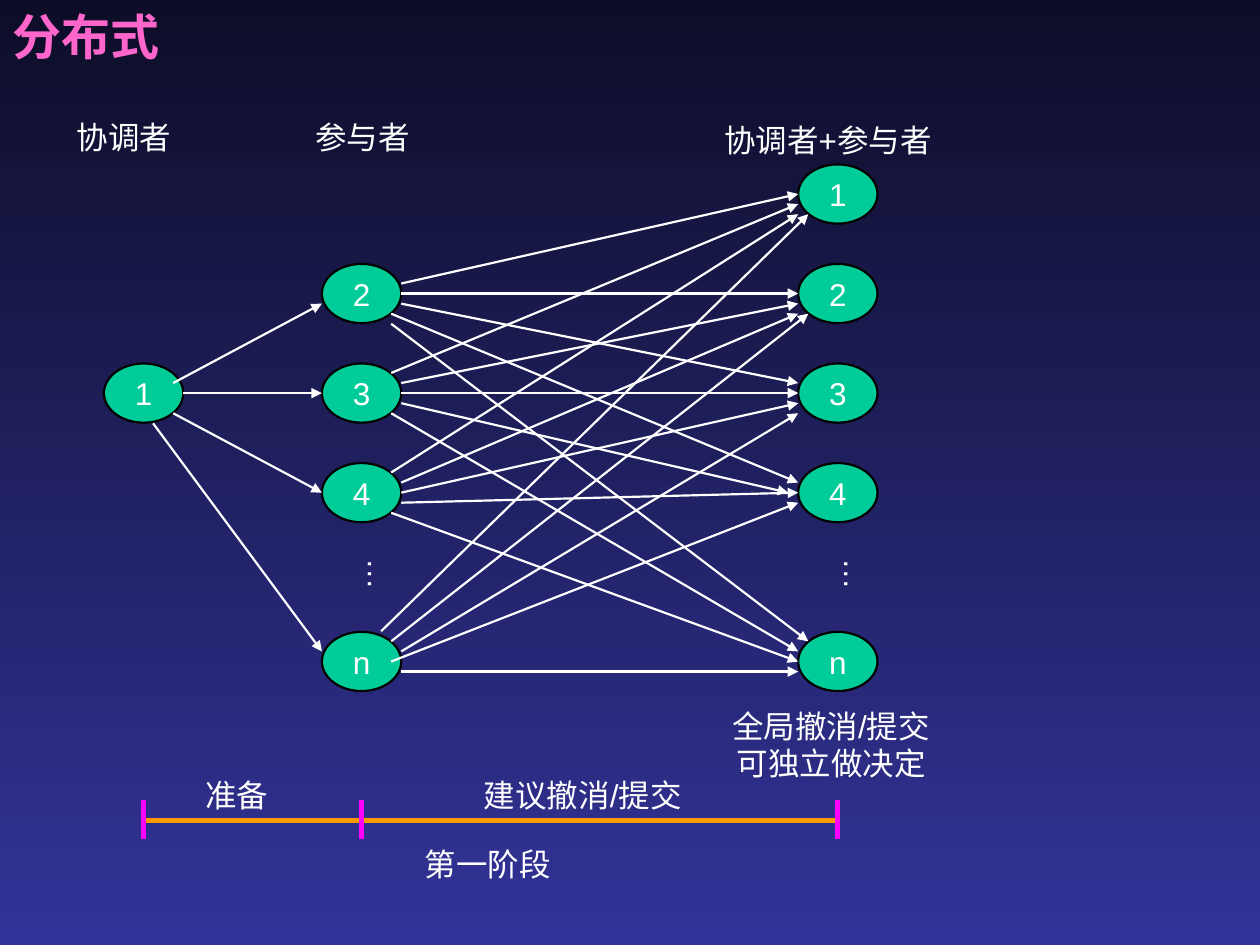
from lxml.etree import SubElement
from pptx import Presentation
from pptx.dml.color import RGBColor
from pptx.enum.shapes import MSO_CONNECTOR, MSO_SHAPE
from pptx.enum.text import MSO_ANCHOR, MSO_AUTO_SIZE, PP_ALIGN
from pptx.oxml.ns import qn
from pptx.util import Inches, Pt

COLORS = {
    "top": "0D0D28", "bottom": "333399", "node": "00CC99", "outline": "000000",
    "text": "FFFFFF", "title": "FF66CC", "axis": "FF9900", "tick": "FF00FF",
}
NODE_W, NODE_H = 0.63, 0.47
STEP = 0.08  # spacing between neighbouring arrow ends
COORDINATOR_X, PARTICIPANT_X, DECIDER_X = 1.14, 2.87, 6.65
ROW_Y = {"1": 1.54, "2": 2.33, "3": 3.12, "4": 3.91, "n": 5.25}

# target: (start inset, start drop, end inset, end drop), counted in steps
PREPARE = {"2": (1, -1, 0, 1), "3": (0, 0, 0, 0), "4": (1, 2, 0, 0), "n": (3, 3, 0, -1)}
VOTES = {
    "2": {"1": (0, -1, 0, 0), "2": (0, 0, 0, 0), "3": (0, 1, 0, -1),
          "4": (1, 2, 0, -1), "n": (1, 3, 1, -2)},
    "3": {"1": (1, -2, 0, 1), "2": (0, -1, 0, 1), "3": (0, 0, 0, 0),
          "4": (0, 1, -1, 0), "n": (1, 2, 0, -1)},
    "4": {"1": (1, -2, 0, 2), "2": (0, -1, 0, 2), "3": (0, 0, 0, 1),
          "4": (0, 1, 0, 0), "n": (1, 2, 0, 0)},
    "n": {"1": (2, -3, 1, 2), "2": (1, -2, 1, 2), "3": (0, -1, 0, 2),
          "4": (1, 0, 0, 1), "n": (0, 1, 0, 1)},
}


def rgb(name):
    return RGBColor.from_string(COLORS[name])


def write(frame, text, size=18, color="text", bold=False, align=PP_ALIGN.CENTER,
          wrap=False, anchor=MSO_ANCHOR.TOP):
    frame.word_wrap = wrap
    frame.vertical_anchor = anchor
    frame.text = text
    for paragraph in frame.paragraphs:
        paragraph.alignment = align
        font = paragraph.font
        font.name, font.size, font.bold = "Arial", Pt(size), bold
        font.color.rgb = rgb(color)


def add_label(slide, text, left, top, width, height=0.4, **style):
    label = slide.shapes.add_textbox(*map(Inches, (left, top, width, height)))
    write(label.text_frame, text, **style)
    label.text_frame.auto_size = MSO_AUTO_SIZE.SHAPE_TO_FIT_TEXT
    return label


def add_ellipsis(slide, center_x):
    """Three dots stacked vertically between rows 4 and n."""
    frame = add_label(slide, "…", center_x - 0.15, 4.33, 0.5, 0.35).text_frame
    frame.margin_left = frame.margin_right = Inches(0.05)
    frame.margin_top = frame.margin_bottom = Inches(0.1)
    frame._txBody.bodyPr.set("vert", "eaVert")


def add_line(slide, start, end, color="text", width=1.25, arrow=False):
    line = slide.shapes.add_connector(MSO_CONNECTOR.STRAIGHT, *map(Inches, (*start, *end)))
    line.line.color.rgb = rgb(color)
    line.line.width = Pt(width)
    if arrow:
        SubElement(line.line._get_or_add_ln(), qn("a:tailEnd"), type="triangle")
    SubElement(line._element.spPr, qn("a:effectLst"))


def add_node(slide, label, center_x, center_y):
    node = slide.shapes.add_shape(
        MSO_SHAPE.OVAL, Inches(center_x - NODE_W / 2), Inches(center_y - NODE_H / 2),
        Inches(NODE_W), Inches(NODE_H))
    node.shadow.inherit = False
    node.fill.solid()
    node.fill.fore_color.rgb = rgb("node")
    node.line.color.rgb = rgb("outline")
    node.line.width = Pt(1.25)
    write(node.text_frame, label, anchor=MSO_ANCHOR.MIDDLE)


def add_column(slide, labels, center_x):
    for label in labels:
        add_node(slide, label, center_x, ROW_Y[label])


def add_messages(slide, source_x, source_y, target_x, links):
    """Arrows from the right side of one node to the left side of its targets."""
    for target, (start_inset, start_drop, end_inset, end_drop) in links.items():
        start = (source_x + NODE_W / 2 - start_inset * STEP, source_y + start_drop * STEP)
        end = (target_x - NODE_W / 2 + end_inset * STEP, ROW_Y[target] + end_drop * STEP)
        add_line(slide, start, end, arrow=True)


def add_network(slide):
    add_node(slide, "1", COORDINATOR_X, ROW_Y["3"])
    add_column(slide, "234n", PARTICIPANT_X)
    add_column(slide, "1234n", DECIDER_X)
    add_messages(slide, COORDINATOR_X, ROW_Y["3"], PARTICIPANT_X, PREPARE)
    for source, links in VOTES.items():
        add_messages(slide, PARTICIPANT_X, ROW_Y[source], DECIDER_X, links)
    for center_x in (PARTICIPANT_X, DECIDER_X):
        add_ellipsis(slide, center_x)


def add_headings(slide, top):
    add_label(slide, "协调者", 0.51, top, 0.95)
    add_label(slide, "参与者", 2.4, top, 0.95)
    add_label(slide, "协调者+参与者", 5.47, top + 0.02, 2.2)


def add_timeline(slide, axis_y):
    add_line(slide, (COORDINATOR_X, axis_y), (DECIDER_X, axis_y), "axis", 2.75)
    for tick_x in (COORDINATOR_X, PARTICIPANT_X, DECIDER_X):
        add_line(slide, (tick_x, axis_y - 0.16), (tick_x, axis_y + 0.15), "tick", 2.75)
    add_label(slide, "第一阶段", 3.27, axis_y + 0.15, 1.2)
    add_label(slide, "准备", 1.53, axis_y - 0.4, 0.7)
    add_label(slide, "建议撤消/提交", 3.68, axis_y - 0.4, 1.89)
    add_label(slide, "全局撤消/提交\n可独立做决定", 5.65, axis_y - 0.95, 1.89, 0.7)


def paint_background(slide):
    fill = slide.background.fill
    fill.gradient()
    fill.gradient_angle = 270
    for stop, name in zip(fill.gradient_stops, ("top", "bottom")):
        stop.color.rgb = rgb(name)


def main():
    deck = Presentation()
    deck.slide_width, deck.slide_height = Inches(10), Inches(7.5)
    slide = deck.slides.add_slide(deck.slide_layouts[6])
    paint_background(slide)
    add_network(slide)
    add_headings(slide, 0.89)
    add_timeline(slide, 6.51)
    add_label(slide, "分布式", 0, 0, 2.09, 0.57, size=28, color="title", bold=True,
              align=PP_ALIGN.LEFT, wrap=True)
    deck.save("out.pptx")


if __name__ == "__main__":
    main()
